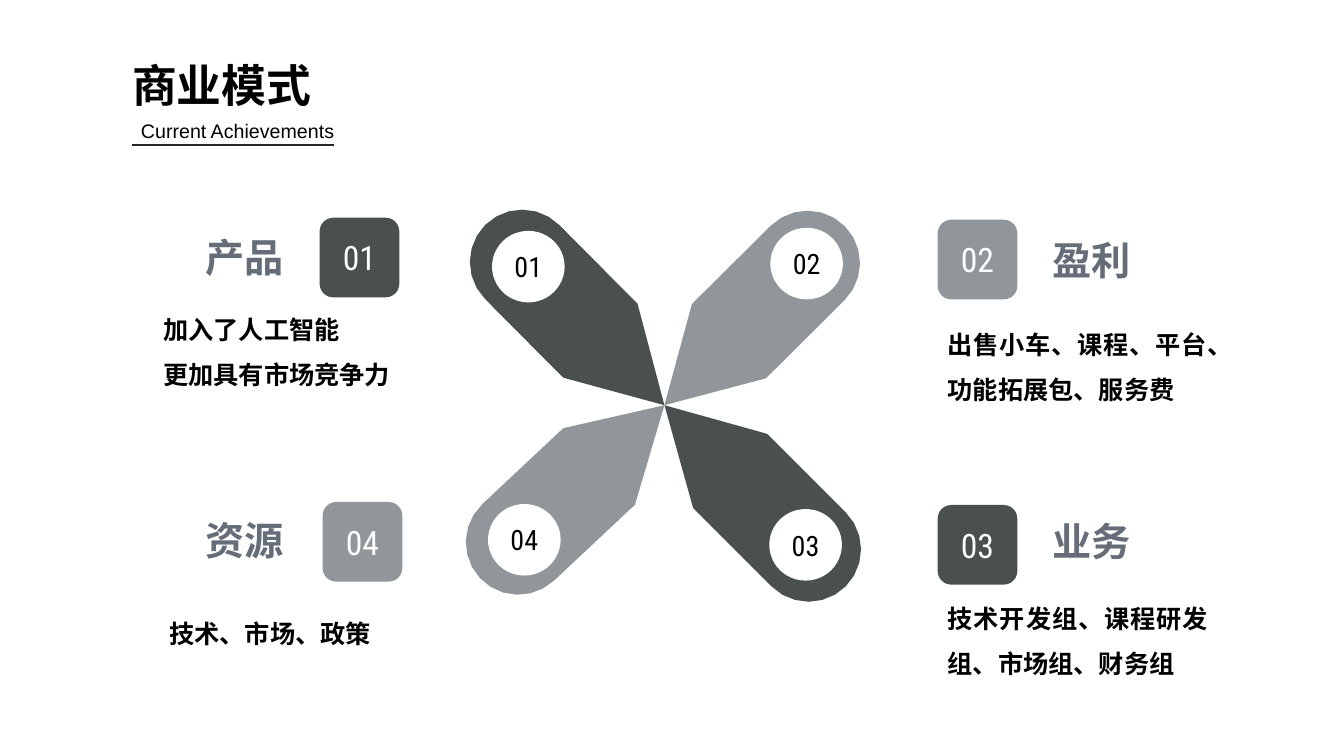
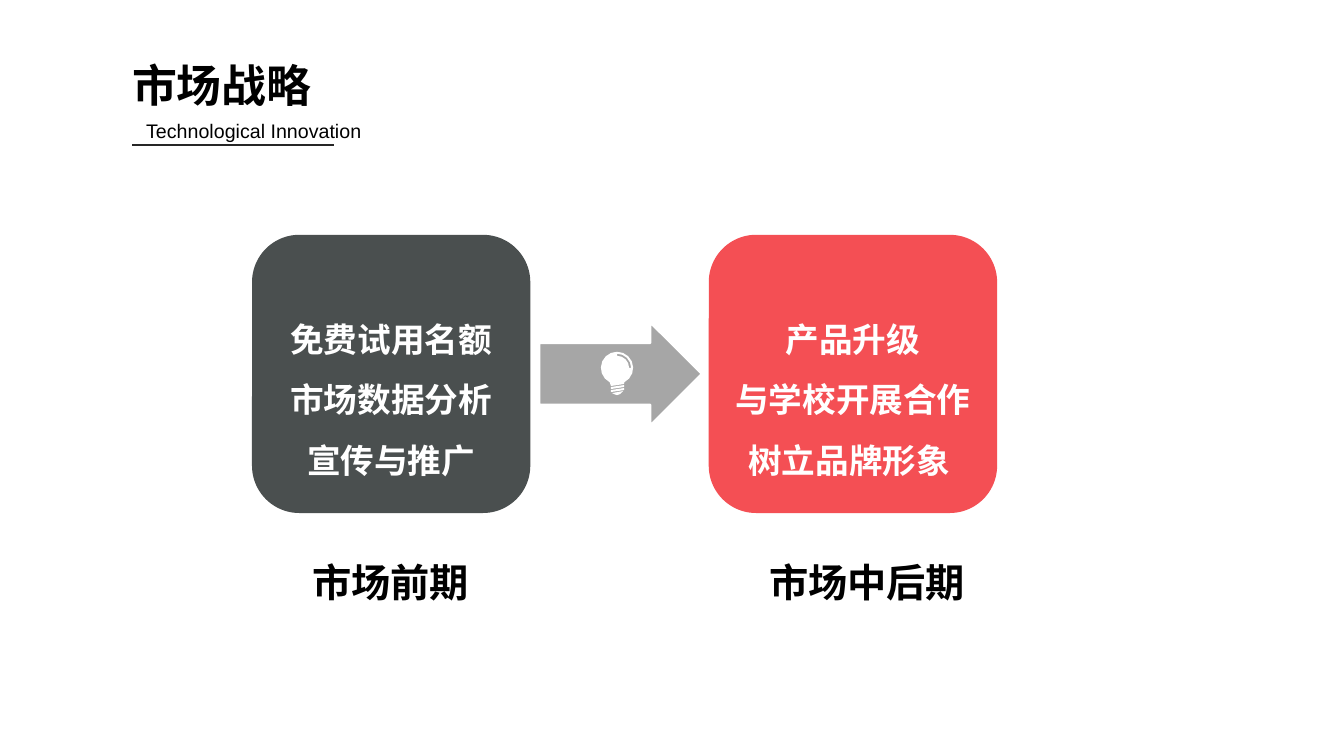
"""Build the business model and market strategy slides."""
from dataclasses import dataclass
from math import atan2, cos, hypot, pi, sin

from lxml.etree import SubElement
from pptx import Presentation
from pptx.dml.color import RGBColor
from pptx.enum.shapes import MSO_CONNECTOR as Connector, MSO_SHAPE as Preset
from pptx.enum.text import MSO_ANCHOR as Anchor, PP_ALIGN as Align
from pptx.oxml.ns import qn
from pptx.shapes.autoshape import Shape
from pptx.slide import Slide
from pptx.util import Inches, Pt

Point = tuple[float, float]
Box = tuple[float, float, float, float]


@dataclass(frozen=True)
class Theme:
    """Colours, fonts and type sizes."""
    black: str = "000000"
    white: str = "FFFFFF"
    rule: str = "262626"
    dark: str = "4A4F4F"
    grey: str = "91969B"
    arrow: str = "A6A6A6"
    red: str = "F44F54"
    heading: str = "656D78"
    chinese: str = "Noto Sans CJK SC"
    latin: str = "Arial"
    digits: str = "Roboto Condensed"
    title_pt: int = 32
    heading_pt: int = 28
    panel_pt: int = 24
    ring_pt: int = 20
    body_pt: int = 18
    subtitle_pt: int = 14


THEME = Theme()


@dataclass(frozen=True)
class TextStyle:
    """How a block of text looks."""
    size: int
    color: str = THEME.black
    font: str = THEME.chinese
    bold: bool = True
    align: Align = Align.LEFT
    spacing: float | Pt = 1.0
    anchor: Anchor = Anchor.MIDDLE
    insets: Box = (0.1, 0.05, 0.1, 0.05)


NO_INSETS = (0, 0, 0, 0)
TITLE = TextStyle(THEME.title_pt, spacing=Pt(38), anchor=Anchor.TOP,
                  insets=(0.07, 0.04, 0.07, 0.04))
BODY = TextStyle(THEME.body_pt, align=Align.JUSTIFY, spacing=Pt(32))
SHORT_BODY = TextStyle(THEME.body_pt)
BADGE = TextStyle(THEME.panel_pt, THEME.white, THEME.digits, False, Align.CENTER,
                  insets=NO_INSETS)
RING = TextStyle(THEME.ring_pt, THEME.black, THEME.digits, False, Align.CENTER,
                 insets=NO_INSETS)
PANEL = TextStyle(THEME.panel_pt, THEME.white, align=Align.CENTER, spacing=Pt(43),
                  insets=(0.1, 0.39, 0.1, 0.08))
CAPTION = TextStyle(THEME.heading_pt)


@dataclass(frozen=True)
class Topic:
    """One petal with its badge, heading and body text."""
    number: str
    heading: str
    body: tuple[str, ...]
    color: str
    badge: Point
    heading_at: Point
    heading_align: Align
    body_box: Box
    cap: Point
    ring: Point
    body_style: TextStyle = BODY


@dataclass(frozen=True)
class Phase:
    """One market phase with its panel and caption."""
    actions: tuple[str, ...]
    caption: str
    color: str
    panel: Box
    caption_box: Box


TOPICS = (
    Topic("01", "产品", ("加入了人工智能", "更加具有市场竞争力"), THEME.dark,
          (3.17, 2.16), (1.63, 2.43), Align.RIGHT, (1.52, 3.02, 2.59, 0.8),
          (5.18, 2.6), (4.88, 2.29)),
    Topic("02", "盈利", ("出售小车、课程、平台、功能拓展包、服务费",), THEME.grey,
          (9.3, 2.18), (10.44, 2.46), Align.LEFT, (9.3, 3.09, 2.78, 0.96),
          (8.01, 2.61), (7.64, 2.26)),
    Topic("03", "业务", ("技术开发组、课程研发组、市场组、财务组",), THEME.dark,
          (9.3, 5.01), (10.44, 5.25), Align.LEFT, (9.3, 5.81, 2.78, 0.96),
          (8.02, 5.45), (7.63, 5.05)),
    Topic("04", "资源", ("技术、市场、政策",), THEME.grey,
          (3.2, 4.98), (1.63, 5.24), Align.RIGHT, (1.58, 6.08, 2.53, 0.4),
          (5.14, 5.38), (4.84, 5.0), SHORT_BODY),
)

PHASES = (
    Phase(("免费试用名额", "市场数据分析", "宣传与推广"), "市场前期", THEME.dark,
          (2.5, 2.33, 2.76, 2.76), (3.0, 5.49, 1.76, 0.57)),
    Phase(("产品升级", "与学校开展合作", "树立品牌形象 "), "市场中后期", THEME.red,
          (7.03, 2.33, 2.86, 2.76), (7.53, 5.49, 2.19, 0.57)),
)

HUB = (6.59, 4.02)
CAP_RADIUS = 0.52
SHOULDER = 1.1
BADGE_SIDE = 0.79
CORNER = 0.17


def write(shape: Shape, lines: tuple[str, ...], style: TextStyle) -> None:
    """Fill a shape with one styled paragraph per line."""
    frame = shape.text_frame
    left, top, right, bottom = map(Inches, style.insets)
    layout = {"word_wrap": True, "vertical_anchor": style.anchor,
              "margin_left": left, "margin_top": top,
              "margin_right": right, "margin_bottom": bottom}
    for name, value in layout.items():
        setattr(frame, name, value)
    look = {"name": style.font, "size": Pt(style.size), "bold": style.bold}
    for index, line in enumerate(lines):
        paragraph = frame.add_paragraph() if index else frame.paragraphs[0]
        paragraph.alignment = style.align
        paragraph.line_spacing = style.spacing
        run = paragraph.add_run()
        run.text = line
        for name, value in look.items():
            setattr(run.font, name, value)
        run.font.color.rgb = RGBColor.from_string(style.color)
        SubElement(run._r.get_or_add_rPr(), qn("a:ea"), typeface=style.font)


def add_text(slide: Slide, box: Box, lines: tuple[str, ...], style: TextStyle) -> None:
    """Add a text box."""
    write(slide.shapes.add_textbox(*map(Inches, box)), lines, style)


def paint(shape: Shape, color: str) -> None:
    """Give a shape a flat fill without line or shadow."""
    shape.shadow.inherit = False
    shape.fill.solid()
    shape.fill.fore_color.rgb = RGBColor.from_string(color)
    shape.line.fill.background()


def add_preset(slide: Slide, preset: Preset, box: Box, color: str,
               adjustments: tuple[float, ...] = ()) -> Shape:
    """Add a flat preset shape."""
    shape = slide.shapes.add_shape(preset, *map(Inches, box))
    for index, value in enumerate(adjustments):
        shape.adjustments[index] = value
    paint(shape, color)
    return shape


def add_outline(slide: Slide, contours: list[list[Point]], color: str) -> None:
    """Add a flat freeform from closed contours."""
    scaled = [[(Inches(x), Inches(y)) for x, y in contour] for contour in contours]
    builder = slide.shapes.build_freeform(*scaled[0][0])
    builder.add_line_segments(scaled[0][1:], close=True)
    for contour in scaled[1:]:
        builder.move_to(*contour[0])
        builder.add_line_segments(contour[1:], close=True)
    paint(builder.convert_to_shape(), color)


def arc(center: Point, radius: float, start: float, end: float, steps: int) -> list[Point]:
    """Return points along an arc, with angles in radians."""
    angles = [start + (end - start) * step / steps for step in range(steps + 1)]
    return [(center[0] + radius * cos(a), center[1] + radius * sin(a)) for a in angles]


def add_petal(slide: Slide, cap: Point, color: str) -> None:
    """Draw a petal from its round cap to the hub."""
    dx, dy = HUB[0] - cap[0], HUB[1] - cap[1]
    angle, length = atan2(dy, dx), hypot(dx, dy)
    middle = (cap[0] + dx * SHOULDER / length, cap[1] + dy * SHOULDER / length)
    round_end = arc(cap, CAP_RADIUS, angle + pi / 2, angle + 3 * pi / 2, 12)
    first, last = arc(middle, CAP_RADIUS, angle - pi / 2, angle + pi / 2, 1)
    add_outline(slide, [[*round_end, first, HUB, last]], color)


def add_bulb(slide: Slide) -> None:
    """Draw the light bulb on the arrow."""
    center = (6.12, 3.65)
    glass = arc(center, 0.16, 0.65 * pi, 2.35 * pi, 14)
    neck = [(6.19, 3.81), (6.06, 3.83)]
    glint = arc(center, 0.14, -pi / 2, 0, 4) + arc(center, 0.12, 0, -pi / 2, 4)
    threads = [[(6.06, y), (6.19, y - 0.02), (6.19, y), (6.06, y + 0.02)]
               for y in (3.84, 3.87)]
    foot = [(6.07, 3.9), (6.18, 3.88), (6.15, 3.91), (6.12, 3.92), (6.09, 3.91)]
    add_outline(slide, [glass + neck, glint, *threads, foot], THEME.white)


def add_header(slide: Slide, title: str, subtitle: str, indent: float) -> None:
    """Add the title, its underline and the subtitle."""
    add_text(slide, (1.24, 0.54, 4.6, 0.61), (title,), TITLE)
    underline = slide.shapes.add_connector(
        Connector.STRAIGHT, *map(Inches, (1.31, 1.44, 3.31, 1.44)))
    underline.line.color.rgb = RGBColor.from_string(THEME.rule)
    underline.line.width = Pt(1)
    SubElement(underline._element.spPr, qn("a:effectLst"))
    style = TextStyle(THEME.subtitle_pt, font=THEME.latin, bold=False, spacing=1.3,
                      anchor=Anchor.TOP, insets=(indent, 0.05, 0.1, 0.05))
    add_text(slide, (1.3, 1.06, 3.7, 0.38), (subtitle,), style)


def add_topic(slide: Slide, topic: Topic) -> None:
    """Draw a topic of the business model."""
    heading = TextStyle(THEME.heading_pt, THEME.heading, align=topic.heading_align,
                        insets=NO_INSETS)
    add_text(slide, (*topic.heading_at, 1.18, 0.24), (topic.heading,), heading)
    badge = add_preset(slide, Preset.ROUNDED_RECTANGLE,
                       (*topic.badge, BADGE_SIDE, BADGE_SIDE), topic.color, (CORNER,))
    write(badge, (topic.number,), BADGE)
    add_petal(slide, topic.cap, topic.color)
    ring = add_preset(slide, Preset.OVAL, (*topic.ring, 0.72, 0.71), THEME.white)
    write(ring, (topic.number,), RING)
    add_text(slide, topic.body_box, topic.body, topic.body_style)


def add_phase(slide: Slide, phase: Phase) -> None:
    """Draw a market phase."""
    panel = add_preset(slide, Preset.ROUNDED_RECTANGLE, phase.panel, phase.color, (CORNER,))
    write(panel, phase.actions, PANEL)
    add_text(slide, phase.caption_box, (phase.caption,), CAPTION)


def main() -> None:
    """Build and save the presentation."""
    deck = Presentation()
    deck.slide_width, deck.slide_height = Inches(13.33), Inches(7.5)
    blank = deck.slide_layouts[6]

    model = deck.slides.add_slide(blank)
    add_header(model, "商业模式", "Current Achievements", 0.1)
    for topic in TOPICS:
        add_topic(model, topic)

    strategy = deck.slides.add_slide(blank)
    add_header(strategy, "市场战略", "Technological Innovation", 0.15)
    for phase in PHASES:
        add_phase(strategy, phase)
    arrow = add_preset(strategy, Preset.RIGHT_ARROW, (5.35, 3.2, 1.61, 1.02),
                       THEME.arrow, (0.6, 0.5))
    arrow.line.color.rgb = RGBColor.from_string(THEME.white)
    arrow.line.width = Pt(1.5)
    add_bulb(strategy)

    deck.save("out.pptx")


if __name__ == "__main__":
    main()
